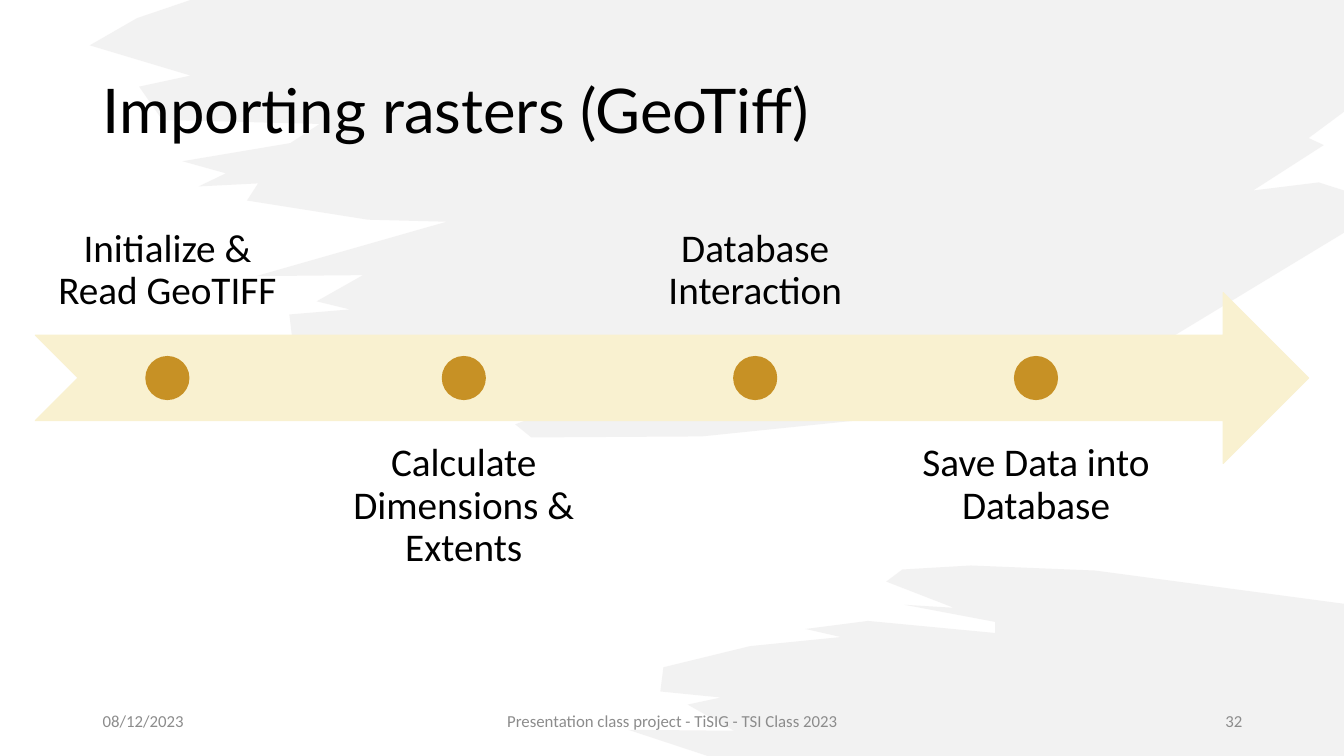
from lxml import etree
from pptx import Presentation
from pptx.dml.color import RGBColor
from pptx.enum.shapes import MSO_SHAPE
from pptx.enum.text import MSO_ANCHOR, PP_ALIGN
from pptx.oxml.ns import qn
from pptx.util import Inches, Pt

ARROW, DOT = MSO_SHAPE.NOTCHED_RIGHT_ARROW, MSO_SHAPE.OVAL
TOP, MIDDLE, BOTTOM = MSO_ANCHOR.TOP, MSO_ANCHOR.MIDDLE, MSO_ANCHOR.BOTTOM
LEFT, CENTER, RIGHT = PP_ALIGN.LEFT, PP_ALIGN.CENTER, PP_ALIGN.RIGHT

BLACK = RGBColor(0x00, 0x00, 0x00)
FOOTER_GRAY = RGBColor(0x8C, 0x8C, 0x8C)
BRUSH_GRAY = RGBColor(0xE7, 0xE6, 0xE6)
CREAM = RGBColor(0xF9, 0xF1, 0xD0)
GOLD = RGBColor(0xC7, 0x91, 0x25)

TITLE_FORMAT = {"name": "Lato", "size": Pt(44)}
LABEL_FORMAT = {"name": "Calibri", "size": Pt(28)}
FOOTER_FORMAT = {"name": "Calibri", "size": Pt(12)}

LABEL_GAP = 0.08
LABEL_INSET = 0.22

# Label and the width of its column
STEPS = [
    ("Initialize & Read GeoTIFF", 2.62),
    ("Calculate Dimensions & Extents", 3.1),
    ("Database Interaction", 2.52),
    ("Save Data into Database", 2.89),
]

# Text, left offset, width, alignment
FOOTER = [
    ("08/12/2023", 0, 3, LEFT),
    ("Presentation class project - TiSIG - TSI Class 2023", 3.5, 4.5, CENTER),
    ("32", 8.5, 3, RIGHT),
]

# Corners of the brush strokes, in inches
UPPER_BRUSH = [
    (1.89, 0), (13.33, 0), (13.33, 1.11), (12.98, 1.37), (13.13, 1.44), (12.43, 1.89),
    (13.08, 1.81), (13.33, 1.89), (13.33, 2.31), (11.35, 3.51), (9, 4.12), (6.96, 4.33),
    (5.27, 4.34), (5.11, 4.21), (5.78, 3.96), (2.9, 3.37), (2.87, 3.12), (3.47, 3.07),
    (3.14, 2.99), (3.6, 2.73), (2.54, 2.74), (4.43, 2.2), (3.65, 2.18), (2.45, 1.99),
    (2.56, 1.82), (1.97, 1.85), (2.24, 1.72), (1.81, 1.6), (2.88, 1.42), (3.17, 1.23),
    (1.61, 1.19), (1.38, 0.86), (1.89, 0.75), (0.89, 0.45), (1.36, 0.18),
]
LOWER_BRUSH = [
    (8.95, 5.65), (9.63, 5.61), (10.86, 5.66), (13.33, 5.99), (13.33, 7.5), (7.02, 7.5),
    (6.23, 7.24), (7.28, 7.25), (6.82, 6.99), (7.15, 6.92), (6.55, 6.86), (6.58, 6.62),
    (7.44, 6.41), (8.34, 6.32), (7.99, 6.24), (8.61, 6.16), (9.87, 6.28), (9.87, 6.17),
    (8.97, 6), (9.46, 6.03), (8.79, 5.77),
]


def add_brush_stroke(slide, corners):
    start, *others = [(Inches(x), Inches(y)) for x, y in corners]
    builder = slide.shapes.build_freeform(*start)
    builder.add_line_segments(others, close=True)
    shape = builder.convert_to_shape()
    shape.shadow.inherit = False
    shape.fill.solid()
    shape.fill.fore_color.rgb = BRUSH_GRAY
    shape.line.fill.background()
    color = shape.element.spPr.find(qn("a:solidFill")).find(qn("a:srgbClr"))
    etree.SubElement(color, qn("a:alpha"), val="50000")


def add_text(slide, box, text, font_format, color=BLACK, align=LEFT, anchor=MIDDLE,
             spacing=None, inset=None):
    frame = slide.shapes.add_textbox(*map(Inches, box)).text_frame
    frame.word_wrap = True
    frame.vertical_anchor = anchor
    if inset is not None:
        for side in ("left", "right", "top", "bottom"):
            setattr(frame, f"margin_{side}", Inches(inset))
    paragraph = frame.paragraphs[0]
    paragraph.text = text
    paragraph.alignment = align
    paragraph.line_spacing = spacing
    for attribute, value in font_format.items():
        setattr(paragraph.font, attribute, value)
    paragraph.font.color.rgb = color


def add_solid_shape(slide, kind, box, color, line_width):
    shape = slide.shapes.add_shape(kind, *map(Inches, box))
    shape.shadow.inherit = False
    shape.fill.solid()
    shape.fill.fore_color.rgb = color
    shape.line.color.rgb = color
    shape.line.width = Pt(line_width)


def add_timeline(slide, left, top, width, height):
    """Place an arrow with dots, and labels in turn above and below it."""
    band = 0.4 * height
    dot = 0.1 * height
    add_solid_shape(slide, ARROW, (left, top + 0.3 * height, width, band), CREAM, 0.75)
    for index, (label, label_width) in enumerate(STEPS):
        above = index % 2 == 0
        label_top = top if above else top + height - band
        add_text(slide, (left, label_top, label_width, band), label, LABEL_FORMAT,
                 align=CENTER, anchor=BOTTOM if above else TOP, spacing=0.9,
                 inset=LABEL_INSET)
        dot_left = left + (label_width - dot) / 2
        add_solid_shape(slide, DOT, (dot_left, top + (height - dot) / 2, dot, dot), GOLD, 1)
        left += label_width + LABEL_GAP


def add_footer(slide, left, top, height):
    for text, offset, width, align in FOOTER:
        add_text(slide, (left + offset, top, width, height), text, FOOTER_FORMAT,
                 FOOTER_GRAY, align)


def main():
    presentation = Presentation()
    presentation.slide_width = Inches(13.33)
    presentation.slide_height = Inches(7.5)
    slide = presentation.slides.add_slide(presentation.slide_layouts[6])
    for corners in (UPPER_BRUSH, LOWER_BRUSH):
        add_brush_stroke(slide, corners)
    add_text(slide, (0.92, 0.4, 11.5, 1.45), "Importing rasters (GeoTiff)", TITLE_FORMAT,
             spacing=0.9)
    add_timeline(slide, 0.35, 1.63, 12.63, 4.24)
    add_footer(slide, 0.92, 6.95, 0.4)
    presentation.save("out.pptx")


if __name__ == "__main__":
    main()
